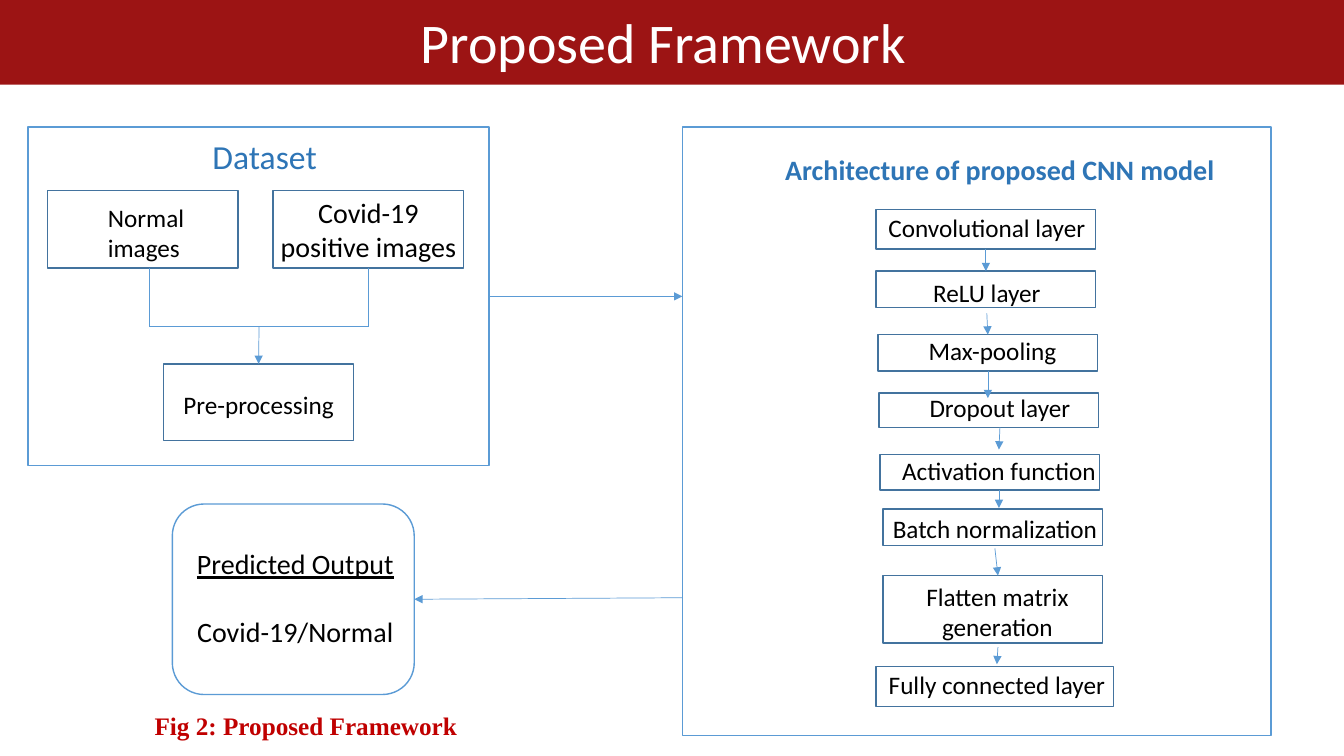
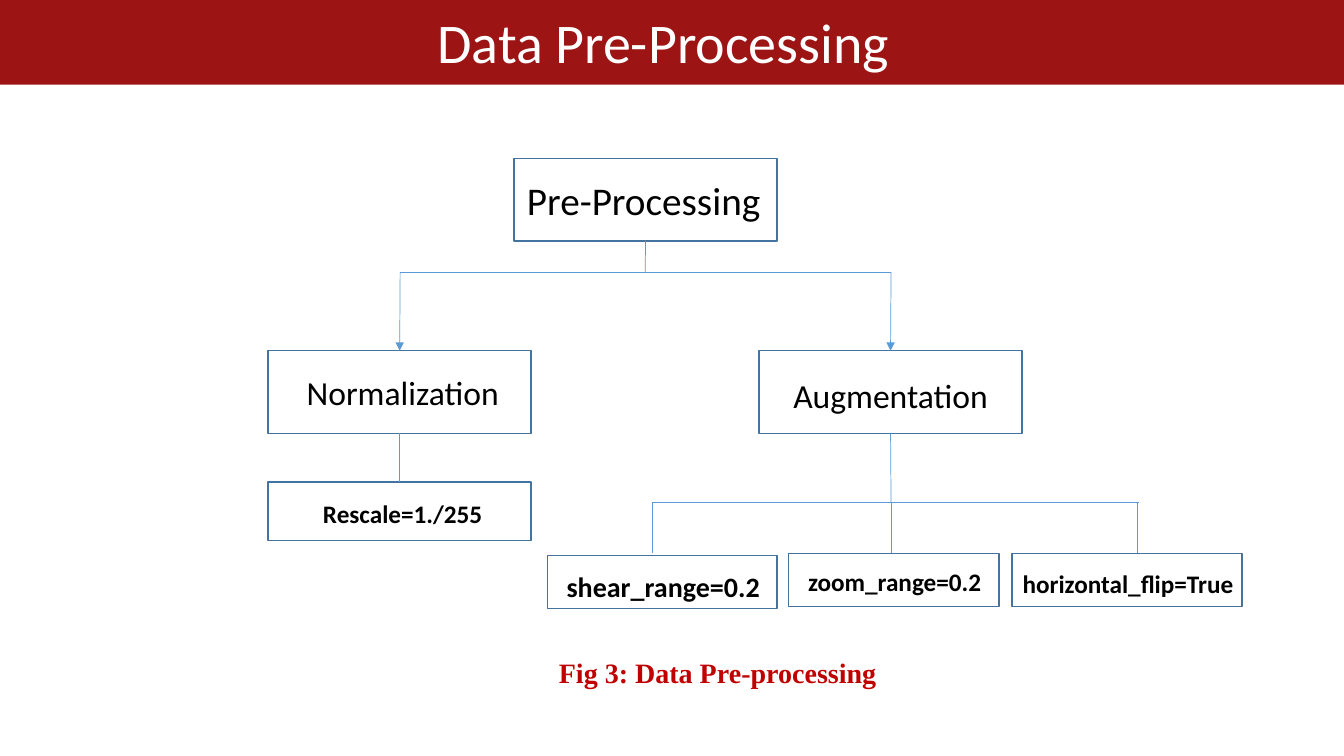
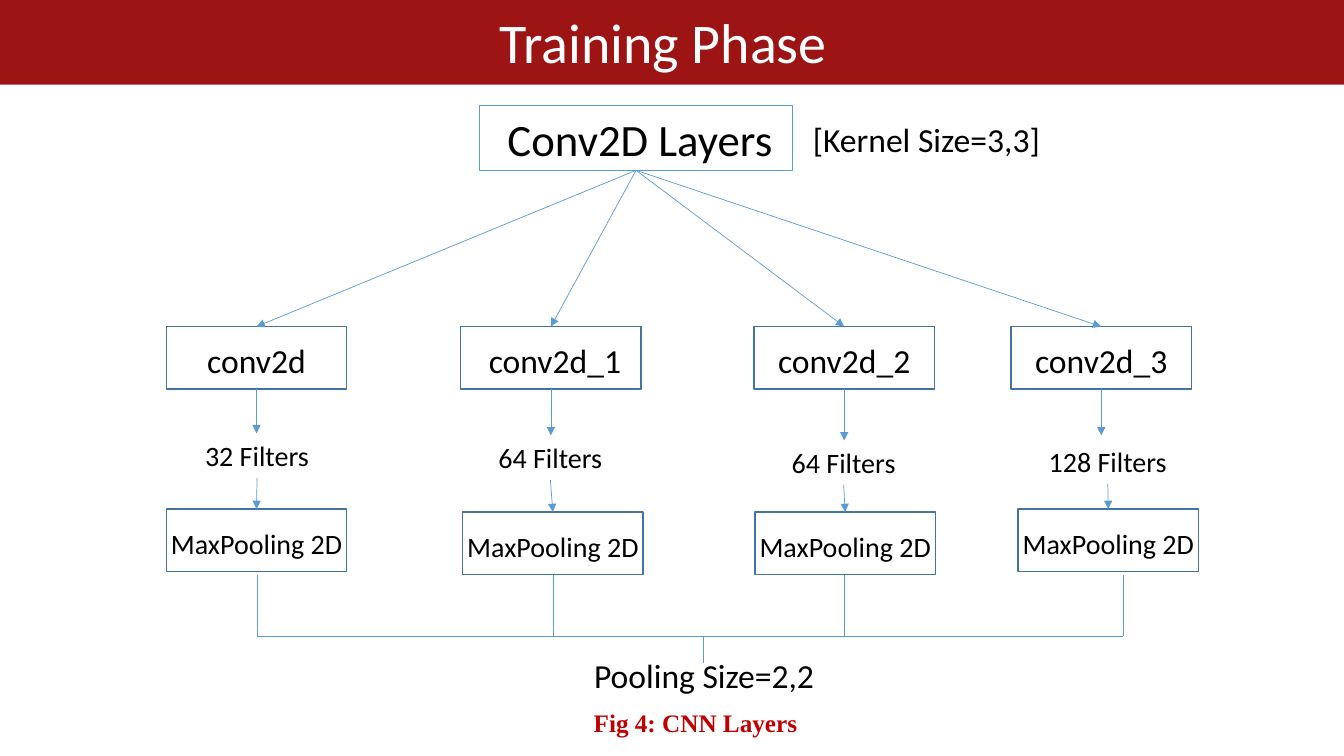
from lxml import etree
from pptx import Presentation
from pptx.dml.color import RGBColor
from pptx.enum.shapes import MSO_CONNECTOR, MSO_SHAPE
from pptx.enum.text import MSO_ANCHOR, PP_ALIGN
from pptx.oxml.ns import qn
from pptx.util import Inches, Pt

RECT, ROUND = MSO_SHAPE.RECTANGLE, MSO_SHAPE.ROUNDED_RECTANGLE
STRAIGHT = MSO_CONNECTOR.STRAIGHT
CENTER, LEFT = PP_ALIGN.CENTER, PP_ALIGN.LEFT
MIDDLE = MSO_ANCHOR.MIDDLE
TOP_SIDE, RIGHT_SIDE, BOTTOM_SIDE = 0, 3, 2

RED = RGBColor(0x9C, 0x14, 0x14)
CAPTION = RGBColor(0xC0, 0x00, 0x00)
BLUE = RGBColor(0x5B, 0x9B, 0xD5)
STEEL = RGBColor(0x43, 0x73, 0x9E)
HEADING = RGBColor(0x2E, 0x75, 0xB6)
BLACK = RGBColor(0x00, 0x00, 0x00)
WHITE = RGBColor(0xFF, 0xFF, 0xFF)
SANS, SERIF = "Calibri", "Times New Roman"

# All positions are columns and rows of a grid with square cells
CELL = Inches(0.1)
COLS, ROWS = 133.33, 75


def box(s, x, y, w, h, text="", size=18, line=STEEL, color=BLACK, bold=False,
        font=SANS, dx=0, dy=0, shape=RECT):
    """Outlined box, or a plain label if line is None; dx, dy shift the text."""
    frame = [round(v * CELL) for v in (x, y, w, h)]
    if line is None:
        sp = s.shapes.add_textbox(*frame)
    else:
        sp = s.shapes.add_shape(shape, *frame)
        sp.shadow.inherit = False
        sp.fill.background()
        sp.line.color.rgb = line
        sp.line.width = Pt(1)
    tf = sp.text_frame
    tf.word_wrap = True
    tf.vertical_anchor = MIDDLE
    tf.margin_left, tf.margin_right = (round(max(0, 2 * v) * CELL) for v in (dx, -dx))
    tf.margin_top, tf.margin_bottom = (round(max(0, 2 * v) * CELL) for v in (dy, -dy))
    tf.text = text
    for p in tf.paragraphs:
        p.alignment = CENTER
        for r in p.runs:
            r.font.size, r.font.name, r.font.bold = Pt(size), font, bold
            r.font.color.rgb = color
    return sp


def link(s, start, end, arrow=False):
    """Line between two ends, each a grid point or a (shape, side) pair."""
    cn = s.shapes.add_connector(STRAIGHT, 0, 0, 0, 0)
    if isinstance(start[0], (int, float)):
        cn.begin_x, cn.begin_y = (round(v * CELL) for v in start)
    else:
        cn.begin_connect(*start)
    if isinstance(end[0], (int, float)):
        cn.end_x, cn.end_y = (round(v * CELL) for v in end)
    else:
        cn.end_connect(*end)
    cn.line.color.rgb = BLUE
    cn.line.width = Pt(0.5)
    if arrow:
        etree.SubElement(cn.line._get_or_add_ln(), qn("a:tailEnd"), type="triangle")
    etree.SubElement(cn._element.spPr, qn("a:effectLst"))


prs = Presentation()
prs.slide_width, prs.slide_height = round(COLS * CELL), ROWS * CELL

# Shared layout: title place and red band
layout = prs.slide_layouts[5]
title = layout.placeholders[0]
title.left, title.top = 0, round(0.2 * CELL)
title.width, title.height = round(131.6 * CELL), round(7.7 * CELL)

slides = []
for text in ("Proposed Framework", "Data Pre-Processing", "Training Phase"):
    s = prs.slides.add_slide(layout)
    tf = s.shapes.title.text_frame
    tf.text = text
    tf.vertical_anchor = MIDDLE
    tf.paragraphs[0].alignment = CENTER
    r = tf.paragraphs[0].runs[0]
    r.font.size, r.font.name = Pt(40), SANS
    r.font.color.rgb = WHITE
    slides.append(s)

band = box(slides[0], 0, 0, COLS, 8.4, line=RED)
band.fill.solid()
band.fill.fore_color.rgb = RED
band.line.fill.background()
layout.shapes._spTree.insert(2, band._element)

# Slide 1: dataset panel
s = slides[0]
dataset = box(s, 2.8, 12.6, 45.7, 33.6, line=BLUE)
box(s, 20, 13, 12.5, 5, "Dataset", 24, None, HEADING)
box(s, 27.1, 18.9, 18.9, 7.7, "Covid-19 positive images", 20)
normal = box(s, 4.7, 18.9, 18.9, 7.7, "Normal\nimages", dx=3, dy=0.3)
for p in normal.text_frame.paragraphs:
    p.alignment = LEFT
pre = box(s, 16.2, 36.1, 18.9, 7.6, "Pre-processing", dy=0.2)
for x in (14.8, 36.5):
    link(s, (x, 26.6), (x, 32.4))
link(s, (14.8, 32.4), (36.5, 32.4))
link(s, (25.7, 32.4), (pre, TOP_SIDE), True)

# Slide 1: layers of the model
box(s, 67.7, 12.6, 58.4, 60.4, line=BLUE)
box(s, 76.7, 14.6, 45, 4.4, "Architecture of proposed CNN model", 20, None, HEADING, True)
layers = [
    box(s, x, y, w, h, text, dx=dx, dy=dy)
    for x, y, w, h, text, dx, dy in (
        (86.9, 20.8, 21.8, 3.9, "Convolutional layer", 0.1, -0.2),
        (86.9, 26.9, 21.8, 3.6, "ReLU layer", 0.1, 0.3),
        (87.1, 33.2, 21.8, 3.6, "Max-pooling", 0.45, -0.2),
        (87.2, 39, 21.8, 3.4, "Dropout layer", 1.1, -0.3),
        (87.3, 45.1, 21.8, 3.5, "Activation function", 0.9, -0.2),
        (87.6, 50.5, 21.8, 3.6, "Batch normalization", 0.2, 0.1),
        (87.6, 57.1, 21.8, 6.7, "Flatten matrix\ngeneration", 0.45, 0.2),
        (86.9, 66.1, 23.6, 4, "Fully connected layer", 0.2, -0.2),
    )
]
for start, end in (
    ((layers[0], BOTTOM_SIDE), (layers[1], TOP_SIDE)),
    ((97.9, 31.1), (layers[2], TOP_SIDE)),
    ((layers[2], BOTTOM_SIDE), (98, 39.5)),
    ((99.2, 42.4), (99.1, 44.6)),
    ((99.1, 48.6), (99.1, 50.4)),
    ((98.7, 54.4), (99, 57.1)),
    ((99, 64.2), (98.9, 65.9)),
):
    link(s, start, end, True)

# Slide 1: output and caption
output = box(s, 17.1, 50, 24, 18.9, "Predicted Output\nCovid-19/Normal", 20, BLUE,
             dx=0.2, dy=-0.2, shape=ROUND)
first, second = output.text_frame.paragraphs
first.runs[0].font.underline = True
second.space_before = Pt(24)
link(s, (dataset, RIGHT_SIDE), (67.7, 29.4), True)
link(s, (67.7, 59.3), (output, RIGHT_SIDE), True)
box(s, 14.2, 70, 32.3, 4, "Fig 2: Proposed Framework", 18, None, CAPTION, True, SERIF)

# Slide 2: upper levels of the tree
s = slides[1]
root = box(s, 51, 15.7, 26.1, 8.2, "Pre-Processing", 28, dx=-0.2)
norm = box(s, 26.6, 34.8, 26.1, 8.2, "Normalization", 24, dx=0.3)
augm = box(s, 75.3, 34.8, 26.1, 8.2, "Augmentation", 24, dy=0.3)
link(s, (root, BOTTOM_SIDE), (64, 27))
link(s, (39.7, 27), (88.4, 27))
for x, branch in ((39.7, norm), (88.4, augm)):
    link(s, (x, 27), (branch, TOP_SIDE), True)

# Slide 2: parameters
rescale = box(s, 26.6, 47.8, 26.1, 5.8, "Rescale=1./255", bold=True, dx=0.3, dy=0.2)
link(s, (norm, BOTTOM_SIDE), (rescale, TOP_SIDE))
link(s, (augm, BOTTOM_SIDE), (88.4, 49.8))
link(s, (64.7, 49.8), (113, 49.8))
for x, y, w, text, size, dy, drop in (
    (54.3, 55.1, 22.8, "shear_range=0.2", 20, 0.45, 64.7),
    (78.2, 54.9, 20.9, "zoom_range=0.2", 18, 0.1, 88.4),
    (100.4, 54.9, 22.8, "horizontal_flip=True", 18, 0.3, 112.8),
):
    box(s, x, y, w, 5.3, text, size, bold=True, dx=0.1, dy=dy)
    link(s, (drop, 49.8), (drop, 54.9))
box(s, 54.3, 64.5, 33.8, 4.4, "Fig 3: Data Pre-processing", 20, None, CAPTION, True, SERIF)

# Slide 3: root of the network
s = slides[2]
root = box(s, 47.6, 10.5, 31, 6.4, "Conv2D Layers", 32, BLUE, dx=0.4)
box(s, 79.5, 11.3, 24.8, 5, "[Kernel Size=3,3]", 24, None)

# Slide 3: one column per convolution
BUS_Y = 63.1
for name, conv_x, dx, count, label_x, label_y, tip_y, pool_x, pool_y, drop in (
    ("conv2d", 16.5, 0, 32, 25.5, 43, 43, 16.5, 50.5, 25.5),
    ("conv2d_1", 45.7, 0.4, 64, 54.6, 43.2, 43.2, 45.9, 50.8, 54.9),
    ("conv2d_2", 74.8, 0, 64, 83.7, 43.7, 43.7, 74.9, 50.8, 83.8),
    ("conv2d_3", 100.3, 0, 128, 109.9, 43.6, 43.2, 101, 50.5, 111.4),
):
    conv = box(s, conv_x, 32.4, 17.9, 6.2, name, 24, dx=dx, dy=0.2)
    pool = box(s, pool_x, pool_y, 17.9, 6.2, "MaxPooling 2D", 20, dy=0.3)
    box(s, label_x - 7, label_y, 14, 4.4, f"{count} Filters", 20, None)
    link(s, (root, BOTTOM_SIDE), (conv, TOP_SIDE), True)
    link(s, (conv, BOTTOM_SIDE), (conv_x + 8.95, tip_y), True)
    link(s, (label_x, label_y + 4.4), (pool, TOP_SIDE), True)
    link(s, (drop, 57), (drop, BUS_Y))

# Slide 3: shared pooling size and caption
link(s, (25.5, BUS_Y), (111.4, BUS_Y))
link(s, (69.8, BUS_Y), (69.8, 65.8))
box(s, 57.8, 64.5, 24.1, 5, "Pooling Size=2,2", 24, None)
box(s, 57.8, 69.7, 22.4, 4, "Fig 4: CNN Layers", 18, None, CAPTION, True, SERIF)

prs.save("out.pptx")
